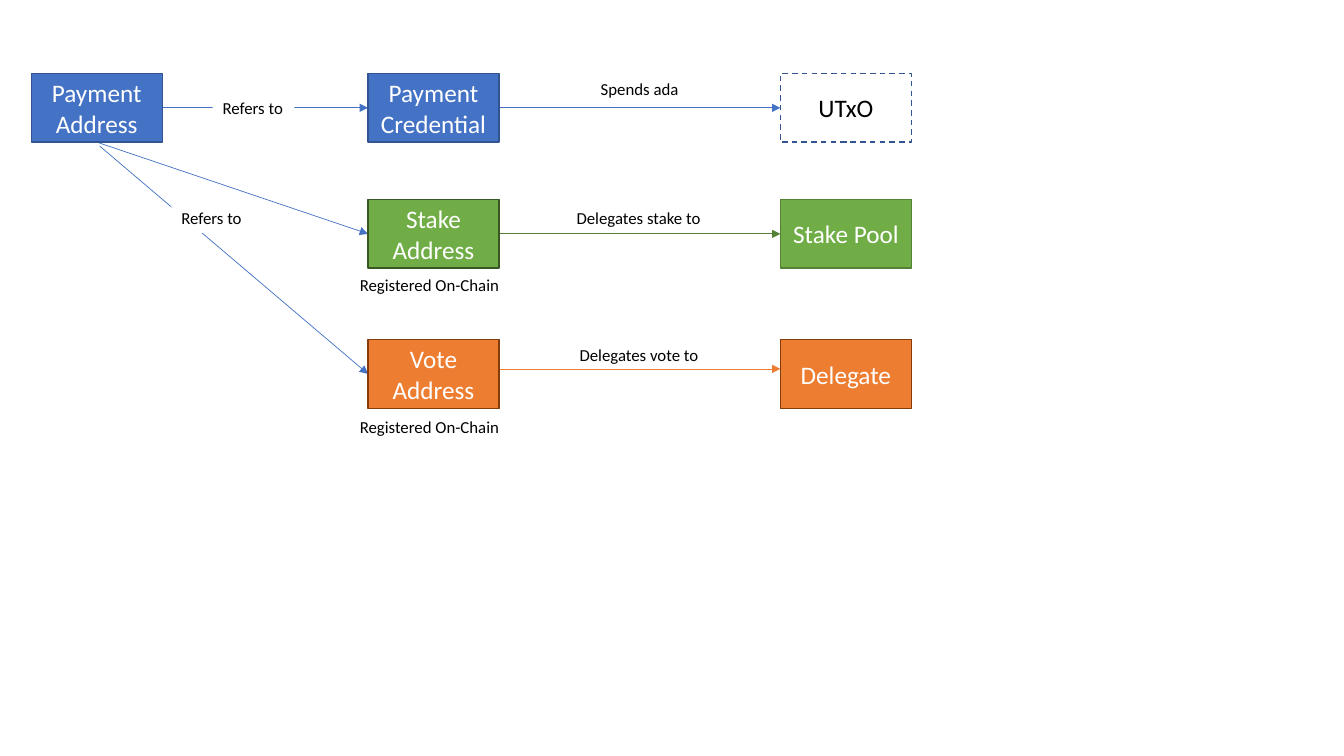
from lxml.etree import SubElement
from pptx import Presentation
from pptx.dml.color import RGBColor
from pptx.enum.dml import MSO_LINE
from pptx.enum.shapes import MSO_CONNECTOR, MSO_SHAPE
from pptx.enum.text import MSO_ANCHOR, MSO_AUTO_SIZE, PP_ALIGN
from pptx.oxml.ns import qn
from pptx.util import Inches, Pt

BLUE, GREEN, ORANGE = "4472C4", "70AD47", "ED7D31"
DARK_BLUE, MID_GREEN, DARK_GREEN, BROWN = "325491", "548235", "385723", "843C0B"
WHITE, BLACK = "FFFFFF", "000000"
BOX_WIDTH, BOX_HEIGHT, LABEL_HEIGHT = 1.3, 0.68, 0.3
ADDRESS_LEFT, CREDENTIAL_LEFT, TARGET_LEFT = 0.31, 3.65, 7.74
PAYMENT_TOP, STAKE_TOP, VOTE_TOP = 0.73, 1.98, 3.37


def color(hex_string):
    """Turn a hex string into a colour."""
    return RGBColor.from_string(hex_string)


def add_text(paragraph, text, size, text_color):
    """Add runs to a paragraph, with a line break between lines."""
    for index, line in enumerate(text.split("\n")):
        if index:
            paragraph.add_line_break()
        run = paragraph.add_run()
        run.text = line
        run.font.name = "Calibri"
        run.font.size = Pt(size)
        run.font.color.rgb = color(text_color)


def add_box(slide, left, top, text, fill, outline, text_color=WHITE, dashed=False):
    """Add an outlined box with centred text."""
    shape = slide.shapes.add_shape(
        MSO_SHAPE.RECTANGLE, Inches(left), Inches(top), Inches(BOX_WIDTH), Inches(BOX_HEIGHT)
    )
    shape.shadow.inherit = False
    shape.fill.solid()
    shape.fill.fore_color.rgb = color(fill)
    shape.line.color.rgb = color(outline)
    shape.line.width = Pt(1)
    if dashed:
        shape.line.dash_style = MSO_LINE.DASH
    frame = shape.text_frame
    frame.word_wrap = True
    frame.vertical_anchor = MSO_ANCHOR.MIDDLE
    paragraph = frame.paragraphs[0]
    paragraph.alignment = PP_ALIGN.CENTER
    add_text(paragraph, text, 18, text_color)


def add_label(slide, left, top, width, text, filled=False):
    """Add a small label, on white when it covers a line."""
    label = slide.shapes.add_textbox(
        Inches(left), Inches(top), Inches(width), Inches(LABEL_HEIGHT)
    )
    if filled:
        label.fill.solid()
        label.fill.fore_color.rgb = color(WHITE)
    frame = label.text_frame
    frame.word_wrap = filled
    frame.auto_size = MSO_AUTO_SIZE.SHAPE_TO_FIT_TEXT
    add_text(frame.paragraphs[0], text, 12, BLACK)


def add_arrow(slide, start, end, line_color):
    """Add a thin straight arrow between two points."""
    points = [Inches(value) for value in (*start, *end)]
    connector = slide.shapes.add_connector(MSO_CONNECTOR.STRAIGHT, *points)
    connector.line.color.rgb = color(line_color)
    connector.line.width = Pt(0.5)
    SubElement(connector.line._get_or_add_ln(), qn("a:tailEnd"), type="triangle")
    SubElement(connector._element.spPr, qn("a:effectLst"))


def main():
    """Build the address diagram and save it."""
    presentation = Presentation()
    presentation.slide_width = Inches(13.33)
    presentation.slide_height = Inches(7.5)
    slide = presentation.slides.add_slide(presentation.slide_layouts[6])

    half = BOX_HEIGHT / 2
    address_right = ADDRESS_LEFT + BOX_WIDTH
    address_middle = ADDRESS_LEFT + BOX_WIDTH / 2
    address_bottom = PAYMENT_TOP + BOX_HEIGHT
    credential_right = CREDENTIAL_LEFT + BOX_WIDTH
    for start, row_top in (
        ((address_right, PAYMENT_TOP + half), PAYMENT_TOP),
        ((address_middle, address_bottom), STAKE_TOP),
        ((0.99, 1.45), VOTE_TOP),
    ):
        add_arrow(slide, start, (CREDENTIAL_LEFT, row_top + half), BLUE)
    for height, line_color in (
        (PAYMENT_TOP + half, BLUE),
        (STAKE_TOP + half, MID_GREEN),
        (3.66, ORANGE),
    ):
        add_arrow(slide, (credential_right, height), (TARGET_LEFT, height), line_color)

    add_box(slide, ADDRESS_LEFT, PAYMENT_TOP, "Payment\nAddress", BLUE, DARK_BLUE)
    add_box(slide, CREDENTIAL_LEFT, PAYMENT_TOP, "Payment\nCredential", BLUE, DARK_BLUE)
    add_box(slide, CREDENTIAL_LEFT, STAKE_TOP, "Stake Address", GREEN, DARK_GREEN)
    add_box(slide, CREDENTIAL_LEFT, VOTE_TOP, "Vote Address", ORANGE, BROWN)
    add_box(slide, TARGET_LEFT, PAYMENT_TOP, "UTxO", WHITE, DARK_BLUE, BLACK, dashed=True)
    add_box(slide, TARGET_LEFT, STAKE_TOP, "Stake Pool", GREEN, MID_GREEN)
    add_box(slide, TARGET_LEFT, VOTE_TOP, "Delegate", ORANGE, BROWN)

    add_label(slide, 5.86, 0.73, 0.98, "Spends ada")
    add_label(slide, 5.62, 2.01, 1.45, "Delegates stake to")
    add_label(slide, 5.65, 3.37, 1.39, "Delegates vote to")
    for left, top in ((2.11, 0.92), (1.7, 2.01)):
        add_label(slide, left, top, 0.81, "Refers to", filled=True)
    for top in (2.68, 4.09):
        add_label(slide, 3.47, top, 1.65, "Registered On-Chain", filled=True)

    presentation.save("out.pptx")


main()
